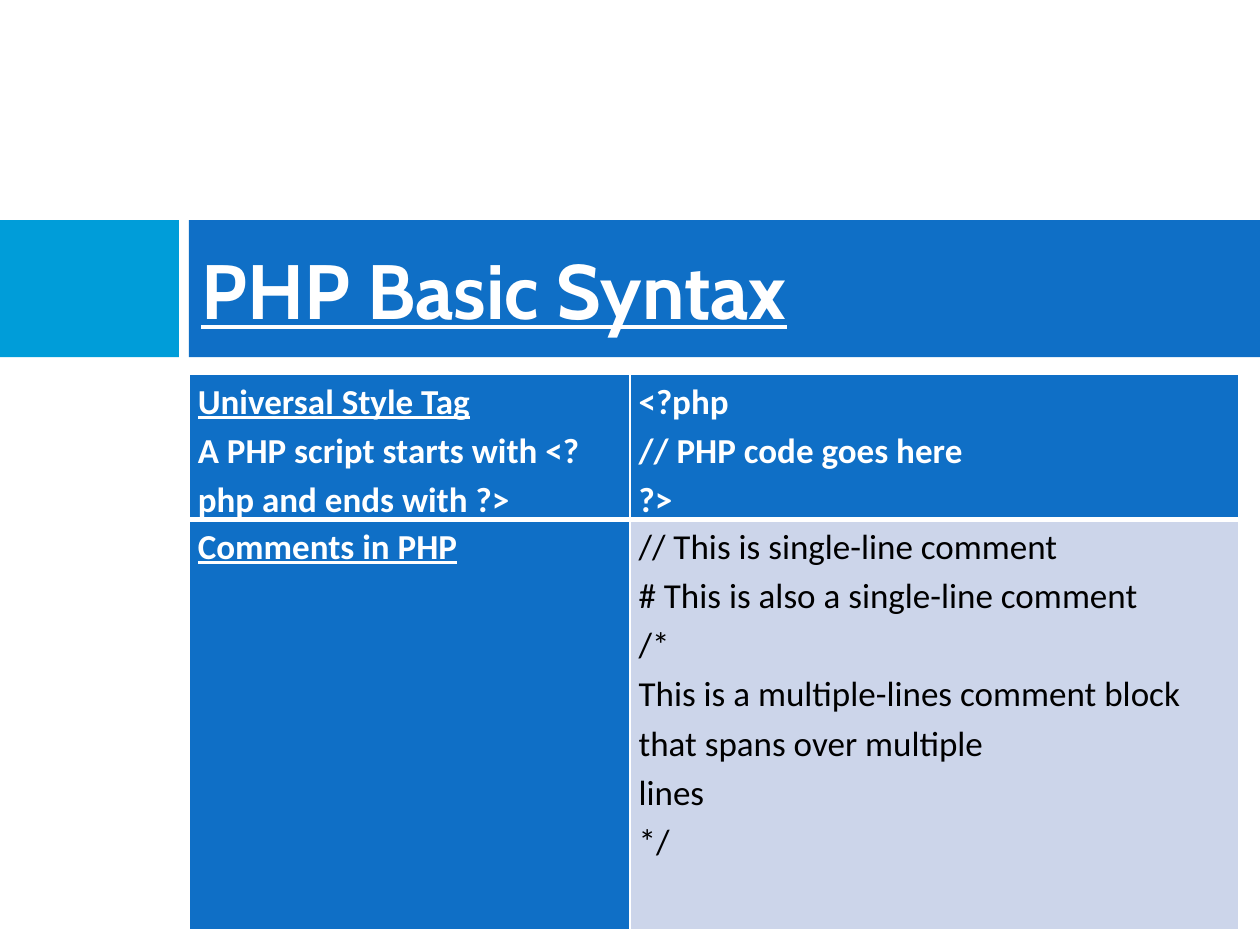
from lxml import etree
from pptx import Presentation
from pptx.dml.color import RGBColor
from pptx.enum.shapes import MSO_SHAPE
from pptx.enum.text import MSO_ANCHOR
from pptx.oxml.ns import qn
from pptx.util import Inches, Pt

RECTANGLE = MSO_SHAPE.RECTANGLE
MIDDLE = MSO_ANCHOR.MIDDLE
BLUE, CYAN, PALE, WHITE, BLACK = "0F6FC6", "009DD9", "CCD5EA", "FFFFFF", "000000"
WIDTH, HEIGHT = Inches(10), Inches(7.5)
CONTENT_LEFT = 0.15

TITLE = {"name": "Cabin", "size": Pt(44), "bold": True, "underline": True}
CODE = {"name": "Calibri", "size": Pt(20), "bold": False, "underline": False}
STRONG = {**CODE, "bold": True}
HEADING = {**STRONG, "underline": True}
CELL_MARGINS = {
    "margin_left": Inches(0.07), "margin_right": Inches(0.07),
    "margin_top": 0, "margin_bottom": 0,
}
ROWS = [
    [
        (BLUE, WHITE, [
            ("Universal Style Tag", HEADING),
            ("A PHP script starts with <?php and ends with ?>", STRONG),
        ]),
        (BLUE, WHITE, [("<?php\n// PHP code goes here\n?>", STRONG)]),
    ],
    [
        (BLUE, WHITE, [("Comments in PHP", HEADING)]),
        (PALE, BLACK, [
            ("// This is single-line comment", CODE),
            ("# This is also a single-line comment\n/*\n"
             "This is a multiple-lines comment block\n"
             "that spans over multiple\nlines\n*/", CODE),
        ]),
    ],
]


def color(value):
    """Turn a hex string into a colour."""
    return RGBColor.from_string(value)


def set_values(target, values):
    """Set each named attribute on the target."""
    for name, value in values.items():
        setattr(target, name, value)


def write(paragraph, text, font_values, font_color):
    """Fill a paragraph with text in one format."""
    paragraph.text = text
    for run in paragraph.runs:
        set_values(run.font, font_values)
        run.font.color.rgb = color(font_color)


def scale(box):
    """Turn shares of the slide into lengths."""
    left, top, width, height = box
    return [round(share * size) for share, size in
            ((left, WIDTH), (top, HEIGHT), (width, WIDTH), (height, HEIGHT))]


def add_block(slide, box, fill):
    """Add a plain filled rectangle."""
    shape = slide.shapes.add_shape(RECTANGLE, *scale(box))
    shape.shadow.inherit = False
    shape.fill.solid()
    shape.fill.fore_color.rgb = color(fill)
    shape.line.fill.background()


def add_title_band(slide, box):
    """Add the accent block, the band and the title."""
    left, top, width, height = box
    add_block(slide, (left, top, 0.142, height), CYAN)
    add_block(slide, (CONTENT_LEFT, top, width - CONTENT_LEFT, height), BLUE)
    text_box = slide.shapes.add_textbox(*scale((CONTENT_LEFT, top, 0.833, height)))
    frame = text_box.text_frame
    set_values(frame, {"word_wrap": True, "vertical_anchor": MIDDLE})
    write(frame.paragraphs[0], "PHP Basic Syntax", TITLE, WHITE)


def add_borders(cell, widths):
    """Draw white cell borders with the given widths in points."""
    properties = cell._tc.get_or_add_tcPr()
    for index, (side, width) in enumerate(widths.items()):
        line = etree.Element(qn(f"a:{side}"), w=str(Pt(width)))
        fill = etree.SubElement(line, qn("a:solidFill"))
        etree.SubElement(fill, qn("a:srgbClr"), val=WHITE)
        properties.insert(index, line)


def fill_cell(cell, fill, font_color, paragraphs):
    """Format a cell and write its paragraphs."""
    set_values(cell, CELL_MARGINS)
    cell.fill.solid()
    cell.fill.fore_color.rgb = color(fill)
    frame = cell.text_frame
    for index, (text, font_values) in enumerate(paragraphs):
        paragraph = frame.add_paragraph() if index else frame.paragraphs[0]
        paragraph.line_spacing = 1.15
        write(paragraph, text, font_values, font_color)


def add_syntax_table(slide, box):
    """Add the table of tags and comments."""
    left, top, width, height = scale(box)
    table = slide.shapes.add_table(len(ROWS), 2, left, top, width, height).table
    for column, share in zip(table.columns, (0.42, 0.58)):
        column.width = round(width * share)
    for row, share in zip(table.rows, (0.255, 0.745)):
        row.height = round(height * share)
    for row_index, row in enumerate(ROWS):
        rule = 1 if row_index else 3
        for column_index, content in enumerate(row):
            cell = table.cell(row_index, column_index)
            fill_cell(cell, *content)
            top_rule = 3 if row_index else 1
            add_borders(cell, {"lnL": 1, "lnR": 1, "lnT": top_rule, "lnB": rule})


def main():
    """Build and save the slide."""
    presentation = Presentation()
    set_values(presentation, {"slide_width": WIDTH, "slide_height": HEIGHT})
    slide = presentation.slides.add_slide(presentation.slide_layouts[6])
    add_title_band(slide, (0, 0.233, 1, 0.145))
    add_syntax_table(slide, (CONTENT_LEFT, 0.396, 0.833, 0.583))
    presentation.save("out.pptx")


if __name__ == "__main__":
    main()
